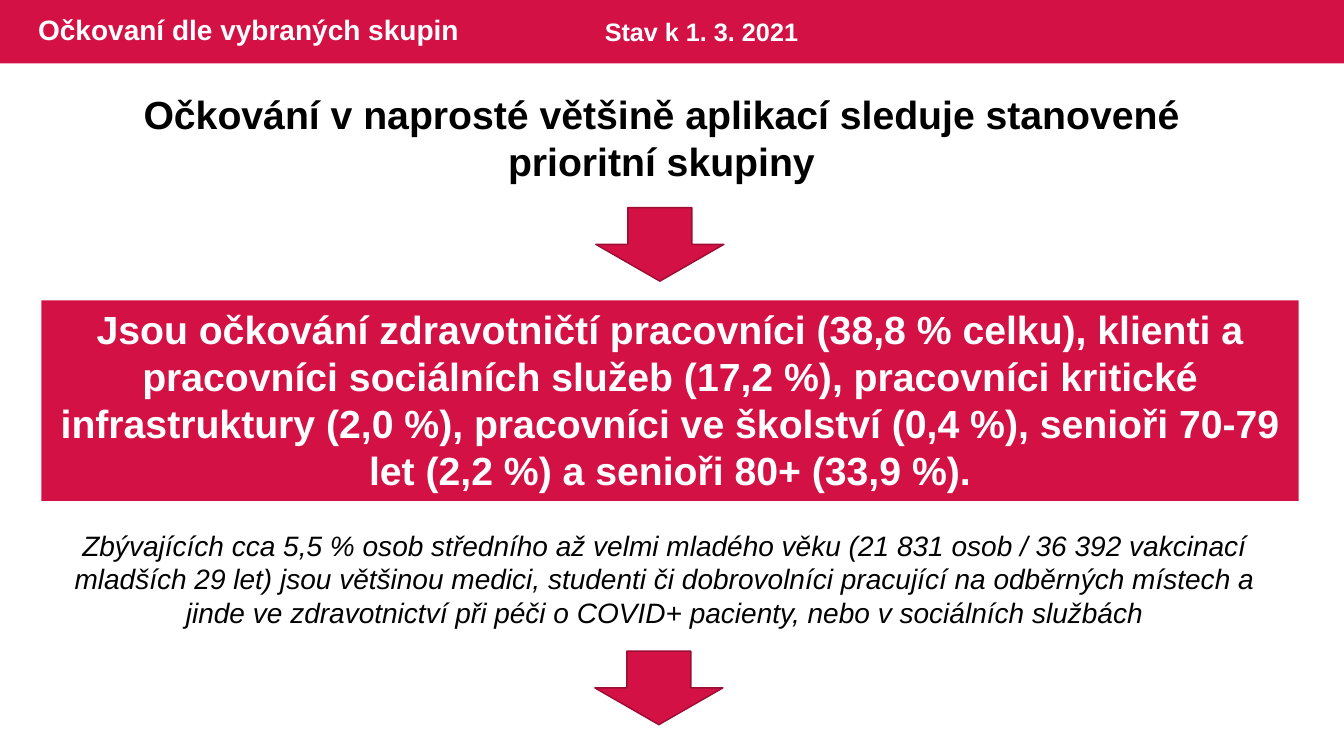
from pptx import Presentation
from pptx.dml.color import RGBColor
from pptx.enum.shapes import MSO_SHAPE
from pptx.enum.text import MSO_ANCHOR, PP_ALIGN
from pptx.util import Inches, Pt

RECTANGLE = MSO_SHAPE.RECTANGLE
DOWN_ARROW = MSO_SHAPE.DOWN_ARROW
TOP, MIDDLE = MSO_ANCHOR.TOP, MSO_ANCHOR.MIDDLE
LEFT, CENTER = PP_ALIGN.LEFT, PP_ALIGN.CENTER

COLORS = {"red": "D31145", "dark_red": "9C0D33", "white": "FFFFFF", "black": "000000"}
FONT = "Arial"
SLIDE_WIDTH, SLIDE_HEIGHT = 13.33, 7.5
HEADER_HEIGHT = 0.63
ARROW_SIZE = (1.27, 0.73)


def color(name):
    return RGBColor.from_string(COLORS[name])


def write_text(shape, text, size=20, ink="black", bold=False, italic=False,
               align=LEFT, anchor=TOP, line_spacing=1.0):
    frame = shape.text_frame
    frame.word_wrap = True
    frame.vertical_anchor = anchor
    paragraph = frame.paragraphs[0]
    paragraph.text = text
    paragraph.alignment = align
    paragraph.line_spacing = line_spacing
    font = paragraph.font
    font.name = FONT
    font.size = Pt(size)
    font.bold = bold
    font.italic = italic
    font.color.rgb = color(ink)


class SlideBuilder:
    """Draws red shapes and Arial text on one slide."""

    def __init__(self, slide):
        self.slide = slide

    def shape(self, kind, left, top, width, height, outline=None):
        shape = self.slide.shapes.add_shape(
            kind, Inches(left), Inches(top), Inches(width), Inches(height))
        shape.shadow.inherit = False
        shape.fill.solid()
        shape.fill.fore_color.rgb = color("red")
        if outline:
            shape.line.color.rgb = color(outline)
            shape.line.width = Pt(1)
        else:
            shape.line.fill.background()
        return shape

    def band(self, left, top, width, height):
        return self.shape(RECTANGLE, left, top, width, height)

    def arrow(self, left, top):
        return self.shape(DOWN_ARROW, left, top, *ARROW_SIZE, outline="dark_red")

    def text(self, left, top, width, height, text, **text_format):
        box = self.slide.shapes.add_textbox(
            Inches(left), Inches(top), Inches(width), Inches(height))
        write_text(box, text, **text_format)
        return box


def main():
    presentation = Presentation()
    presentation.slide_width = Inches(SLIDE_WIDTH)
    presentation.slide_height = Inches(SLIDE_HEIGHT)
    builder = SlideBuilder(presentation.slides.add_slide(presentation.slide_layouts[6]))

    builder.band(0, 0, SLIDE_WIDTH, HEADER_HEIGHT)
    builder.text(0.28, 0, 8.13, HEADER_HEIGHT, "Očkovaní dle vybraných skupin",
                 ink="white", bold=True, anchor=MIDDLE, line_spacing=0.9)
    builder.text(5.9, 0.11, 2.96, 0.4, "Stav k 1. 3. 2021",
                 size=18, ink="white", bold=True)

    builder.text(0.72, 0.85, 11.68, 1.04,
                 "Očkování v naprosté většině aplikací sleduje stanovené prioritní skupiny",
                 size=28, bold=True, align=CENTER)
    builder.arrow(5.91, 2.06)

    groups = builder.band(0.41, 2.98, 12.47, 1.99)
    write_text(groups,
               "Jsou očkování zdravotničtí pracovníci (38,8 % celku), klienti a "
               "pracovníci sociálních služeb (17,2 %), pracovníci kritické "
               "infrastruktury (2,0 %), pracovníci ve školství (0,4 %), "
               "senioři 70-79 let (2,2 %) a senioři 80+ (33,9 %).",
               size=28, ink="white", bold=True, align=CENTER)

    builder.arrow(5.9, 6.46)
    builder.text(0.31, 5.19, 12.57, 1.11,
                 "Zbývajících cca 5,5 % osob středního až velmi mladého věku "
                 "(21 831 osob / 36 392 vakcinací mladších 29 let) jsou většinou "
                 "medici, studenti či dobrovolníci pracující na odběrných místech "
                 "a jinde ve zdravotnictví při péči o COVID+ pacienty, "
                 "nebo v sociálních službách",
                 italic=True, align=CENTER)

    presentation.save("out.pptx")


if __name__ == "__main__":
    main()
